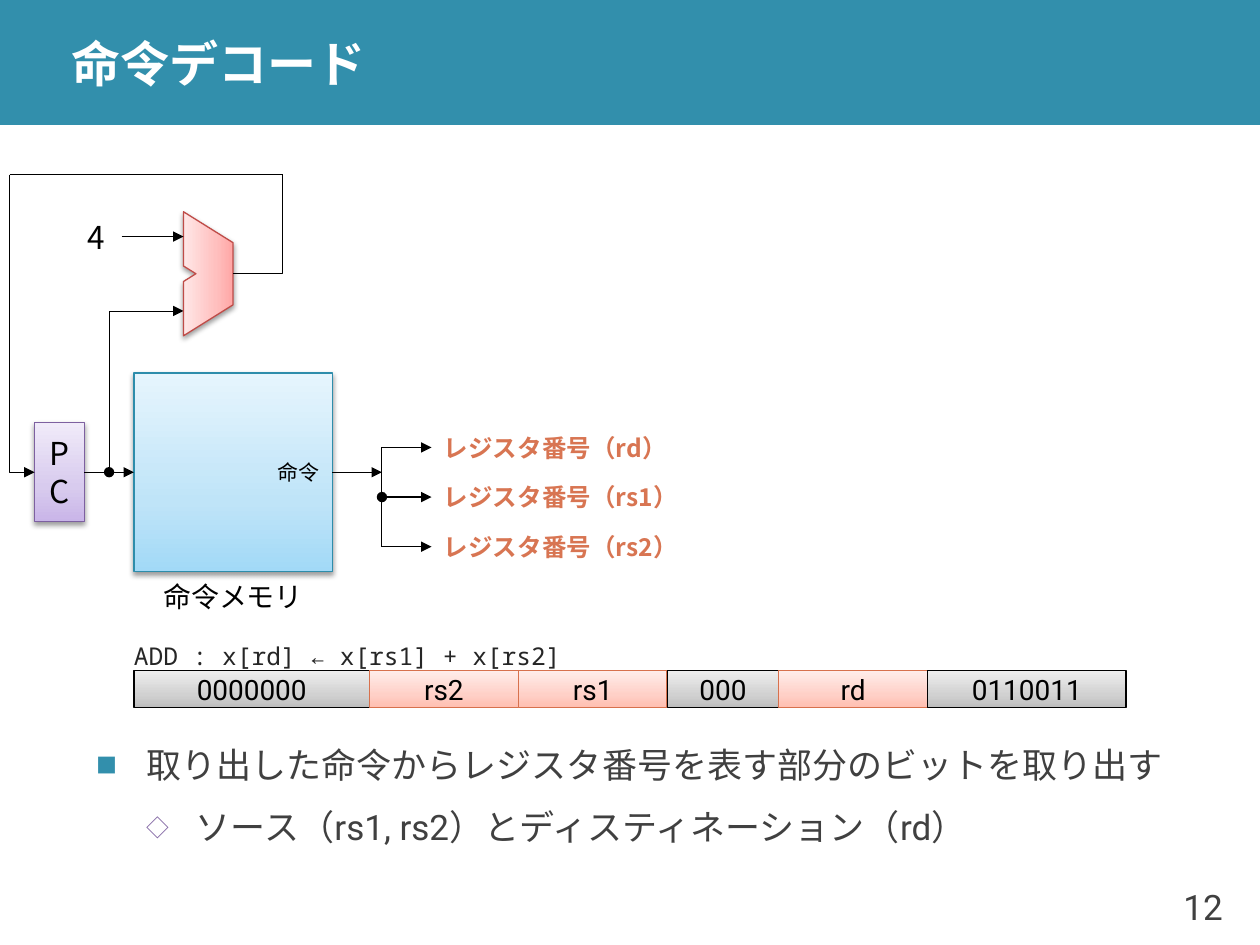
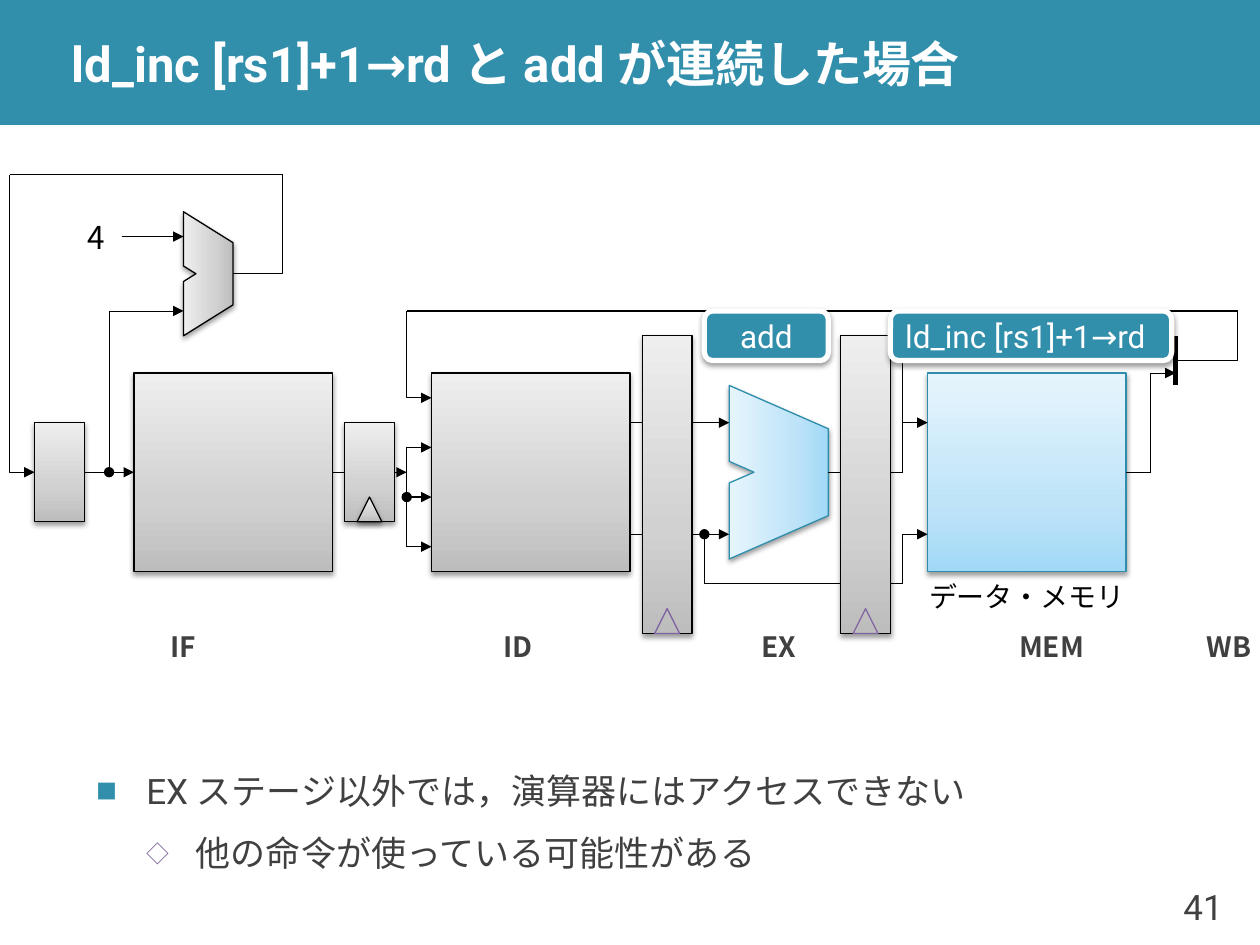
from dataclasses import dataclass

import pptx
import pptx.dml.color
import pptx.enum.shapes
import pptx.enum.text
import pptx.oxml.ns
import pptx.util
from lxml import etree

Cm = pptx.util.Cm
Pt = pptx.util.Pt
qn = pptx.oxml.ns.qn
SHAPE = pptx.enum.shapes.MSO_SHAPE
ALIGN = pptx.enum.text.PP_ALIGN
ANCHOR = pptx.enum.text.MSO_ANCHOR


@dataclass(frozen=True)
class Paint:
    stops: tuple
    line: str


@dataclass(frozen=True)
class Theme:
    band: str = "328FAC"
    white: str = "FFFFFF"
    black: str = "000000"
    body: str = "404040"
    code: str = "262626"
    accent: str = "D87552"
    violet: str = "8064A2"
    gray: Paint = Paint(("BDBDBD", "D1D1D1", "EEEEEE"), "000000")
    blue: Paint = Paint(("A2D9F7", "BFE4F8", "E6F5FD"), "2E8DAB")
    purple: Paint = Paint(("C9B5E8", "D8CBEE", "F0EAF9"), "7D60A0")
    red: Paint = Paint(("FFA6A5", "FFC0BF", "FFE7E7"), "BF4C48")
    salmon: Paint = Paint(("FFBEB0", "FFD0C7", "FFEDEA"), "D7714D")
    latin: str = "Roboto"
    japanese: str = "Noto Sans CJK JP"
    mono: str = "Noto Sans Mono"
    title_size: int = 28
    body_size: int = 20
    large: int = 18
    label: int = 16
    small: int = 14
    tiny: int = 12
    thin: float = 0.5
    normal: float = 0.75
    thick: float = 3


THEME = Theme()
ORIGIN = (0.2, 0.02)
AXIS = 9.5


def color(value):
    return pptx.dml.color.RGBColor.from_string(value)


def grid(x, y):
    return Cm(ORIGIN[0] + x), Cm(ORIGIN[1] + y)


def add_element(parent, tag, **attributes):
    return etree.SubElement(parent, qn(tag), attributes)


def format_paragraph(paragraph, size, ink, font, bold=False, align=ALIGN.LEFT):
    paragraph.alignment = align
    for run in paragraph.runs:
        run.font.size = Pt(size)
        run.font.bold = bold
        run.font.name = font
        run.font.color.rgb = color(ink)
        east_asian = etree.Element(qn("a:ea"), typeface=THEME.japanese)
        run.font._element.find(qn("a:latin")).addnext(east_asian)


def write(shape, text, size, ink=THEME.black, font=THEME.japanese, bold=False,
          align=ALIGN.CENTER, inset=0.25):
    frame = shape.text_frame
    frame.text = text
    frame.word_wrap = True
    frame.vertical_anchor = ANCHOR.MIDDLE
    frame.margin_left = frame.margin_right = Cm(inset)
    frame.margin_top = frame.margin_bottom = 0
    format_paragraph(frame.paragraphs[0], size, ink, font, bold, align)


def add_label(slide, x, y, width, height, text, size, **style):
    box = slide.shapes.add_textbox(*grid(x, y), Cm(width), Cm(height))
    write(box, text, size, **style)
    return box


def set_line(shape, ink, width):
    shape.line.color.rgb = color(ink)
    shape.line.width = Pt(width)


def set_ends(shape, head, tail):
    line = shape.element.spPr.find(qn("a:ln"))
    if head:
        add_element(line, "a:headEnd", type=head)
    if tail:
        add_element(line, "a:tailEnd", type=tail)


def set_paint(shape, paint, angle=90):
    shape.fill.gradient()
    shape.fill.gradient_angle = angle
    stops = shape.element.spPr.find(qn("a:gradFill")).find(qn("a:gsLst"))
    for stop in list(stops):
        stops.remove(stop)
    for position, value in zip((0, 35000, 100000), paint.stops):
        stop = add_element(stops, "a:gs", pos=str(position))
        add_element(stop, "a:srgbClr", val=value)
    set_line(shape, paint.line, THEME.normal)
    shape.shadow.inherit = False


def add_shadow(shape):
    shape.shadow.inherit = False
    effects = shape.element.spPr.find(qn("a:effectLst"))
    shadow = add_element(effects, "a:outerShdw", blurRad=str(Pt(3.1)), dist=str(Pt(1.6)),
                         dir="5400000", algn="ctr", rotWithShape="0")
    ink = add_element(shadow, "a:srgbClr", val=THEME.black)
    add_element(ink, "a:alpha", val="38000")


def add_block(slide, x, y, width, height, paint, shadow=True, kind=SHAPE.RECTANGLE):
    block = slide.shapes.add_shape(kind, *grid(x, y), Cm(width), Cm(height))
    set_paint(block, paint)
    if shadow:
        add_shadow(block)
    return block


def add_path(slide, points, closed=False):
    corners = [grid(*point) for point in points]
    builder = slide.shapes.build_freeform(*corners[0])
    builder.add_line_segments(corners[1:], close=closed)
    shape = builder.convert_to_shape()
    shape.shadow.inherit = False
    return shape


def add_wire(slide, points, head=None, tail=None):
    wire = add_path(slide, points)
    wire.fill.background()
    set_line(wire, THEME.black, THEME.thin)
    set_ends(wire, head, tail)


def add_line(slide, start, end, head=None, tail=None, width=THEME.normal):
    line = slide.shapes.add_connector(
        pptx.enum.shapes.MSO_CONNECTOR.STRAIGHT, *grid(*start), *grid(*end))
    set_line(line, THEME.black, width)
    set_ends(line, head, tail)
    add_element(line.element.spPr, "a:effectLst")
    return line


def add_alu(slide, x, y, width, height, paint):
    right, bottom, middle = x + width, y + height, y + height / 2
    shoulder, notch = height / 4, height / 16
    alu = add_path(slide, [
        (x, y), (right, y + shoulder), (right, bottom - shoulder), (x, bottom),
        (x, middle + notch), (x + width / 4, middle), (x, middle - notch)], closed=True)
    set_paint(alu, paint, angle=180)
    add_shadow(alu)


def add_clock_mark(slide, x, y):
    mark = slide.shapes.add_shape(SHAPE.ISOSCELES_TRIANGLE, *grid(x, y), Cm(0.5), Cm(0.5))
    mark.fill.background()
    set_line(mark, THEME.violet, THEME.normal)
    mark.shadow.inherit = False


def add_badge(slide, x, width, text, align):
    badge = slide.shapes.add_shape(SHAPE.ROUNDED_RECTANGLE, *grid(x, 6.25), Cm(width), Cm(1))
    badge.fill.solid()
    badge.fill.fore_color.rgb = color(THEME.band)
    set_line(badge, THEME.white, THEME.thick)
    add_shadow(badge)
    write(badge, text, THEME.large, THEME.white, THEME.latin, align=align)


def add_bullets(slide, top, height, anchor, texts):
    box = slide.shapes.add_textbox(Cm(1.7), Cm(top), Cm(23), Cm(height))
    frame = box.text_frame
    frame.word_wrap = True
    frame.vertical_anchor = anchor
    frame.text = "\n".join(texts)
    levels = (("■", THEME.band, 60, 24, 6), ("◇", THEME.violet, 65, 3, 3))
    for level, paragraph in enumerate(frame.paragraphs):
        mark, ink, percent, before, after = levels[level]
        format_paragraph(paragraph, THEME.body_size, THEME.body, THEME.latin)
        paragraph.level = level
        paragraph.line_spacing = 1.1
        paragraph.space_before = Pt(before)
        paragraph.space_after = Pt(after)
        properties = paragraph._p.get_or_add_pPr()
        properties.set("marL", str(Cm(level + 1)))
        properties.set("indent", str(-Cm(1)))
        add_element(add_element(properties, "a:buClr"), "a:srgbClr", val=ink)
        add_element(properties, "a:buSzPct", val=str(percent * 1000))
        add_element(properties, "a:buFont", typeface=THEME.japanese)
        add_element(properties, "a:buChar", char=mark)


def add_titled_slide(presentation, text, number):
    slide = presentation.slides.add_slide(presentation.slide_layouts[5])
    title = slide.shapes.title
    title.left, title.top, title.width, title.height = Cm(1.2), 0, Cm(24.2), Cm(2.52)
    write(title, text, THEME.title_size, THEME.white, THEME.latin, True, ALIGN.LEFT)
    band = slide.shapes.add_shape(SHAPE.RECTANGLE, 0, 0, presentation.slide_width, Cm(2.52))
    band.fill.solid()
    band.fill.fore_color.rgb = color(THEME.band)
    band.line.fill.background()
    band.shadow.inherit = False
    title.element.addprevious(band.element)
    add_label(slide, 23, 17.5, 1.7, 1.52, number, THEME.body_size, ink=THEME.body,
              font=THEME.latin, align=ALIGN.RIGHT)
    return slide


def add_fetch_stage(slide, memory_paint, counter_paint, alu_paint, output_x):
    memory = add_block(slide, 2.5, 7.5, 4, 4, memory_paint)
    counter = add_block(slide, 0.5, 8.5, 1, 2, counter_paint)
    address = add_line(slide, (1.5, AXIS), (2.5, AXIS), tail="triangle")
    address.begin_connect(counter, 3)
    address.end_connect(memory, 1)
    add_wire(slide, [(2, AXIS), (2, 6.25), (3.5, 6.25)], "oval", "triangle")
    add_alu(slide, 3.5, 4.25, 1, 2.5, alu_paint)
    add_line(slide, (2.25, 4.75), (3.5, 4.75), tail="triangle")
    add_wire(slide, [(0, 3.5), (0, AXIS), (0.5, AXIS)], tail="triangle")
    add_wire(slide, [(4.5, 5.5), (5.5, 5.5), (5.5, 3.5)])
    add_line(slide, (0, 3.5), (5.5, 3.5))
    add_label(slide, 1.25, 4.25, 1, 1, "4", THEME.large)
    output = add_line(slide, (6.5, AXIS), (output_x, AXIS), tail="triangle")
    output.begin_connect(memory, 3)
    add_wire(slide, [(output_x, 11), (output_x, 9), (8.5, 9)], tail="triangle")
    add_line(slide, (output_x, 10), (8.5, 10), "oval", "triangle")
    add_line(slide, (output_x, 11), (8.5, 11), tail="triangle")
    return counter


def build_decode_slide(presentation):
    slide = add_titled_slide(presentation, "命令デコード", "12")
    add_bullets(slide, 14.78, 3.76, ANCHOR.TOP, (
        "取り出した命令からレジスタ番号を表す部分のビットを取り出す",
        "ソース（rs1, rs2）とディスティネーション（rd）"))
    counter = add_fetch_stage(slide, THEME.blue, THEME.purple, THEME.red, 7.5)
    write(counter, "PC", THEME.large)
    add_label(slide, 4.5, 9, 2, 1, "命令", THEME.tiny, align=ALIGN.RIGHT)
    add_label(slide, 2.5, 11.5, 4, 1, "命令メモリ", THEME.label, inset=0)
    for row, register in enumerate(("rd", "rs1", "rs2")):
        add_label(slide, 8.5, 8.5 + row, 6, 1, f"レジスタ番号（{register}）", THEME.small,
                  ink=THEME.accent, bold=True, align=ALIGN.LEFT)
    left = 2.5
    for text, width in (("0000000", 4.75), ("rs2", 3), ("rs1", 3),
                        ("000", 2.25), ("rd", 3), ("0110011", 4)):
        paint = THEME.salmon if text.startswith("r") else THEME.gray
        field = add_block(slide, left, 13.5, width, 0.75, paint, shadow=False)
        write(field, text, THEME.label, font=THEME.latin)
        left += width
    add_label(slide, 2.25, 12.75, 10, 0.9, "ADD : x[rd] ← x[rs1] + x[rs2]", THEME.small,
              ink=THEME.code, font=THEME.mono, align=ALIGN.LEFT)


def build_pipeline_slide(presentation):
    slide = add_titled_slide(presentation, "ld_inc [rs1]+1→rd と add が連続した場合", "41")
    add_bullets(slide, 15.52, 2, ANCHOR.MIDDLE, (
        "EX ステージ以外では，演算器にはアクセスできない",
        "他の命令が使っている可能性がある"))
    add_fetch_stage(slide, THEME.gray, THEME.gray, THEME.gray, 7.5 + 0.5)
    add_block(slide, 8.5, 7.5, 4, 4, THEME.gray)
    data_memory = add_block(slide, 18.5, 7.5, 4, 4, THEME.blue)
    add_alu(slide, 14.5, 7.75, 2, 3.5, THEME.blue)
    for points in ([(8, 6.25), (8, 8), (8.5, 8)],
                   [(23, AXIS), (23, 7.5), (23.5, 7.5)],
                   [(18, 11.75), (18, 10.75), (18.5, 10.75)],
                   [(18, AXIS), (18, 8.5), (18.5, 8.5)],
                   [(18, 8.5), (18, 7), (23.5, 7)]):
        add_wire(slide, points, tail="triangle")
    add_wire(slide, [(14, 10.75), (14, 11.75), (18, 11.75)], head="oval")
    add_wire(slide, [(23.5, 7.25), (24.75, 7.25), (24.75, 6.25)])
    add_line(slide, (22.5, AXIS), (23, AXIS)).begin_connect(data_memory, 3)
    add_line(slide, (16.5, AXIS), (18, AXIS))
    for y in (8.5, 10.75):
        add_line(slide, (12.5, y), (14.5, y), tail="triangle")
    add_line(slide, (23.5, 6.75), (23.5, 7.75), width=THEME.thick)
    add_line(slide, (24.75, 6.25), (8, 6.25))
    add_label(slide, 18.5, 11.5, 4, 1, "データ・メモリ", THEME.label, inset=0)
    for stage, x, width in (("IF", 1.5, 4), ("ID", 8.25, 4), ("EX", 13.5, 4),
                            ("MEM", 19, 4), ("WB", 23.83, 1.5)):
        add_label(slide, x, 12.5, width, 1, stage, THEME.label, ink=THEME.body,
                  bold=True, inset=0)
    add_block(slide, 6.75, 8.5, 1, 2, THEME.gray)
    add_block(slide, 7, 10, 0.5, 0.5, THEME.gray, kind=SHAPE.ISOSCELES_TRIANGLE)
    for x in (12.75, 16.75):
        add_block(slide, x, 6.75, 1, 6, THEME.gray)
        add_clock_mark(slide, x + 0.25, 12.25)
    add_badge(slide, 17.75, 5.67, "ld_inc [rs1]+1→rd", ALIGN.LEFT)
    add_badge(slide, 14, 2.5, "add", ALIGN.CENTER)


def main():
    presentation = pptx.Presentation()
    presentation.slide_width = Cm(25.4)
    presentation.slide_height = Cm(19.05)
    build_decode_slide(presentation)
    build_pipeline_slide(presentation)
    presentation.save("out.pptx")


if __name__ == "__main__":
    main()
